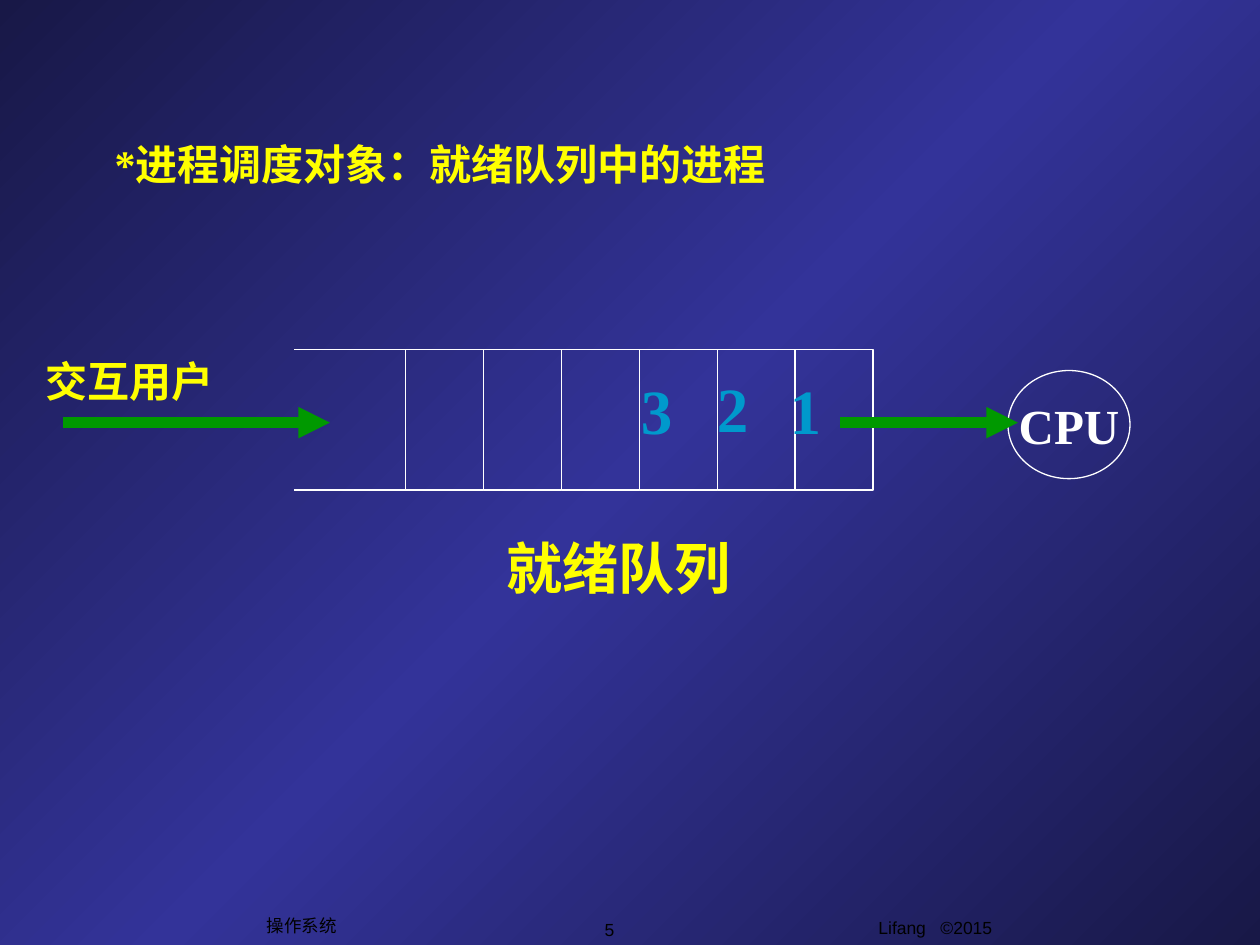
"""Build the slide on process scheduling from the ready queue."""
from copy import deepcopy

from lxml import etree
from pptx import Presentation
from pptx.dml.color import RGBColor
from pptx.enum.shapes import MSO_CONNECTOR, MSO_SHAPE
from pptx.enum.text import MSO_ANCHOR, PP_ALIGN
from pptx.oxml.ns import qn
from pptx.util import Cm, Pt

LEFT, CENTER = PP_ALIGN.LEFT, PP_ALIGN.CENTER
TOP, MIDDLE = MSO_ANCHOR.TOP, MSO_ANCHOR.MIDDLE
RECTANGLE, OVAL = MSO_SHAPE.RECTANGLE, MSO_SHAPE.OVAL
STRAIGHT = MSO_CONNECTOR.STRAIGHT

NAVY = RGBColor(0x18, 0x18, 0x47)
INDIGO = RGBColor(0x33, 0x33, 0x99)
WHITE = RGBColor(0xFF, 0xFF, 0xFF)
YELLOW = RGBColor(0xFF, 0xFF, 0x00)
GREEN = RGBColor(0x00, 0x99, 0x00)
BLUE = RGBColor(0x00, 0x99, 0xCC)
BLACK = RGBColor(0x00, 0x00, 0x00)

BACKGROUND_STOPS = [(0, NAVY), (0.5, INDIGO), (1, NAVY)]
TITLE = ("*进程调度对象：就绪队列中的进程", (2.06, 1.65, 22.91, 3.3))
FOOTERS = [
    ("Lifang   ©2015", (14.83, 18.36, 8.05, 0.89), TOP),
    ("5", (11.23, 18.39, 2.11, 0.69), MIDDLE),
    ("操作系统", (5.13, 18.31, 1.91, 0.69), MIDDLE),
]
LABELS = [
    ("就绪队列", (9.96, 10.64, 5.03, 1.63), 32, YELLOW),
    ("交互用户", (0.66, 7.04, 3.89, 1.27), 24, YELLOW),
    ("1", (15.67, 7.37, 1.14, 1.78), 36, BLUE),
    ("2", (14.2, 7.32, 1.14, 1.78), 36, BLUE),
    ("3", (12.67, 7.37, 1.14, 1.78), 36, BLUE),
]
CPU = ("CPU", (20.32, 7.47, 2.46, 2.18))
CELL_COUNT = 6
QUEUE_LEFT, QUEUE_TOP = 8.18, 7.04
CELL_WIDTH, CELL_HEIGHT = 1.57, 2.84
TAIL_LEFT, TAIL_RIGHT = 5.92, 8.41
ARROW_Y = 8.52
ARROWS = [(1.27, 6.65), (16.94, 20.52)]


def paint_background(slide):
    fill = slide.background.fill
    fill.gradient()
    fill.gradient_angle = 315
    stop_list = slide.background._cSld.find(".//" + qn("a:gsLst"))
    stop_list.insert(1, deepcopy(stop_list[0]))
    for stop, (position, color) in zip(fill.gradient_stops, BACKGROUND_STOPS):
        stop.position = position
        stop.color.rgb = color


def write_text(shape, text, size=24, color=YELLOW, font="Times New Roman",
               bold=True, align=LEFT, anchor=TOP, wrap=False):
    frame = shape.text_frame
    frame.word_wrap = wrap
    frame.vertical_anchor = anchor
    paragraph = frame.paragraphs[0]
    paragraph.alignment = align
    run = paragraph.add_run()
    run.text = text
    run.font.name = font
    run.font.size = Pt(size)
    run.font.bold = bold
    run.font.color.rgb = color


def add_text_box(slide, text, box, **text_format):
    shape = slide.shapes.add_textbox(*map(Cm, box))
    write_text(shape, text, **text_format)


def add_outline(shapes, kind, box):
    shape = shapes.add_shape(kind, *map(Cm, box))
    shape.shadow.inherit = False
    shape.fill.background()
    shape.line.color.rgb = WHITE
    shape.line.width = Pt(0.75)
    return shape


def add_line(shapes, start, end, y, color=WHITE, width=0.75, arrow=False):
    connector = shapes.add_connector(STRAIGHT, Cm(start), Cm(y), Cm(end), Cm(y))
    connector.line.color.rgb = color
    connector.line.width = Pt(width)
    properties = connector._element.spPr
    if arrow:
        line = properties.find(qn("a:ln"))
        etree.SubElement(line, qn("a:tailEnd"), type="triangle")
    etree.SubElement(properties, qn("a:effectLst"))


def add_queue(slide):
    shapes = slide.shapes.add_group_shape().shapes
    for index in reversed(range(CELL_COUNT)):
        left = QUEUE_LEFT + index * CELL_WIDTH
        add_outline(shapes, RECTANGLE, (left, QUEUE_TOP, CELL_WIDTH, CELL_HEIGHT))
    for y in (QUEUE_TOP, QUEUE_TOP + CELL_HEIGHT):
        add_line(shapes, TAIL_RIGHT, TAIL_LEFT, y)


def main():
    presentation = Presentation()
    presentation.slide_width, presentation.slide_height = Cm(25.4), Cm(19.05)
    slide = presentation.slides.add_slide(presentation.slide_layouts[6])
    paint_background(slide)
    for text, box, anchor in FOOTERS:
        add_text_box(slide, text, box, size=10, color=BLACK, font="Arial",
                     bold=False, align=CENTER, anchor=anchor, wrap=anchor == TOP)
    add_queue(slide)
    cpu_text, cpu_box = CPU
    cpu = add_outline(slide.shapes, OVAL, cpu_box)
    write_text(cpu, cpu_text, size=28, color=WHITE, align=CENTER, anchor=MIDDLE)
    for text, box, size, color in LABELS:
        add_text_box(slide, text, box, size=size, color=color)
    for start, end in ARROWS:
        add_line(slide.shapes, start, end, ARROW_Y, GREEN, 6, arrow=True)
    title_text, title_box = TITLE
    add_text_box(slide, title_text, title_box, anchor=MIDDLE, wrap=True)
    presentation.save("out.pptx")


if __name__ == "__main__":
    main()
